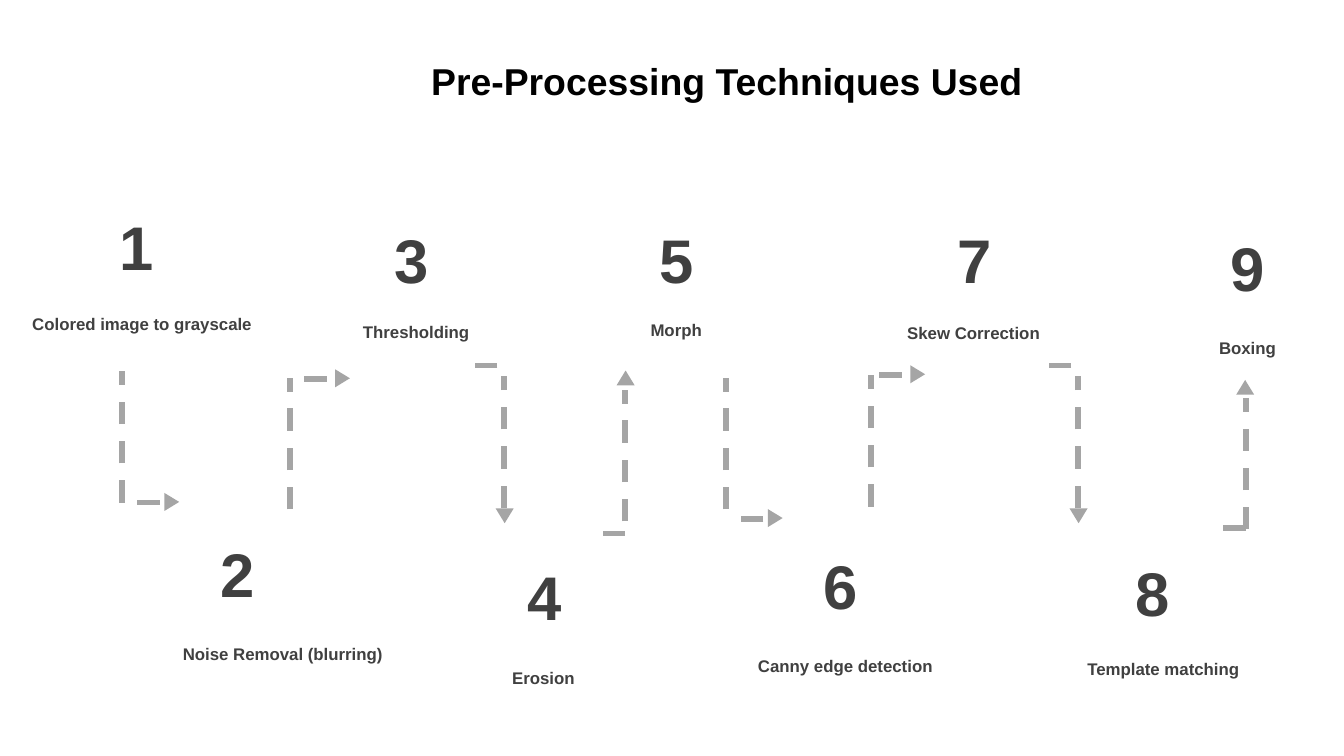
from itertools import cycle
from lxml import etree
from pptx import Presentation
from pptx.dml.color import RGBColor as RGB
from pptx.enum.dml import MSO_LINE as DASH
from pptx.enum.shapes import MSO_CONNECTOR as CONN, MSO_SHAPE as SHAPE
from pptx.enum.text import MSO_ANCHOR as ANCHOR, PP_ALIGN as ALIGN
from pptx.oxml.ns import qn
from pptx.util import Pt

SCALE = 9144
HEX = {"title": "000000", "text": "404040", "path": "A5A5A5"}
STEPS = [
    ("Colored image to grayscale", (17, 228, 200, 22), (55, 148, 93, 74)),
    ("Noise Removal (blurring)", (129, 474, 200, 44), (130, 391, 93, 74)),
    ("Thresholding", (263, 234, 172, 22), (266, 157, 80, 74)),
    ("Erosion", (374, 492, 172, 22), (359, 408, 93, 74)),
    ("Morph", (477, 233, 172, 22), (457, 157, 93, 74)),
    ("Canny edge detection", (557, 483, 200, 44), (577, 400, 97, 82)),
    ("Skew Correction", (668, 235, 172, 22), (679, 157, 93, 74)),
    ("Template matching", (802, 485, 172, 22), (811, 405, 93, 74)),
    ("Boxing", (900, 246, 172, 22), (882, 163, 93, 74)),
]
LINKS = [
    ((91, 374), (119, 374), (122, 369)),
    ((216, 379), (243, 282), (249, 277)),
    ((375, 378), (370, 272), (370, 379)),
    ((465, 388), (465, 397), (460, 277)),
    ((540, 379), (568, 386), (571, 381)),
    ((648, 377), (671, 279), (677, 274)),
    ((802, 378), (797, 272), (797, 379)),
    ((927, 394), (927, 393), (921, 284)),
]
TURNS = (90, 90, 180, 0)
RISE, RUN = 98, 28


def px(*nums):
    return [n * SCALE for n in nums]


def color(name):
    return RGB.from_string(HEX[name])


def write(slide, text, box, size=9, tint="text", align=ALIGN.LEFT):
    frame = slide.shapes.add_textbox(*px(*box)).text_frame
    frame.word_wrap = True
    frame.vertical_anchor = ANCHOR.TOP
    frame.margin_left, frame.margin_right = px(7, 7)
    frame.margin_top, frame.margin_bottom = px(4, 4)
    para = frame.paragraphs[0]
    para.alignment = align
    para.line_spacing = 1.07
    run = para.add_run()
    run.text = text
    run.font.name = "Arial"
    run.font.size = Pt(size)
    run.font.bold = True
    run.font.color.rgb = color(tint)


def dash(slide, start, end):
    line = slide.shapes.add_connector(CONN.STRAIGHT, *px(*start, *end))
    line.line.color.rgb = color("path")
    line.line.width = Pt(3)
    line.line.dash_style = DASH.DASH
    etree.SubElement(line._element.spPr, qn("a:effectLst"))


def point(slide, spot, turn):
    tip = slide.shapes.add_shape(SHAPE.ISOSCELES_TRIANGLE, *px(*spot, 11, 9))
    tip.rotation = turn
    tip.shadow.inherit = False
    tip.fill.solid()
    tip.fill.fore_color.rgb = color("path")
    tip.line.color.rgb = color("path")
    tip.line.width = Pt(1)
    edge = tip._element.spPr.find(qn("a:ln"))
    etree.SubElement(edge, qn("a:miter"), lim="800000")


def link(slide, foot, side, spot, turn):
    point(slide, spot, turn)
    dash(slide, foot, (foot[0], foot[1] - RISE))
    dash(slide, side, (side[0] - RUN, side[1]))


def main():
    deck = Presentation()
    deck.slide_width = 1000 * SCALE
    deck.slide_height = deck.slide_width * 9 // 16
    slide = deck.slides.add_slide(deck.slide_layouts[6])
    write(slide, "Pre-Processing Techniques Used", (313, 37, 456, 34),
          size=20, tint="title", align=ALIGN.CENTER)
    for parts, turn in zip(LINKS, cycle(TURNS)):
        link(slide, *parts, turn)
    for num, (name, box, place) in enumerate(STEPS, 1):
        write(slide, name, box)
        write(slide, str(num), place, size=33, align=ALIGN.CENTER)
    deck.save("out.pptx")


if __name__ == "__main__":
    main()
